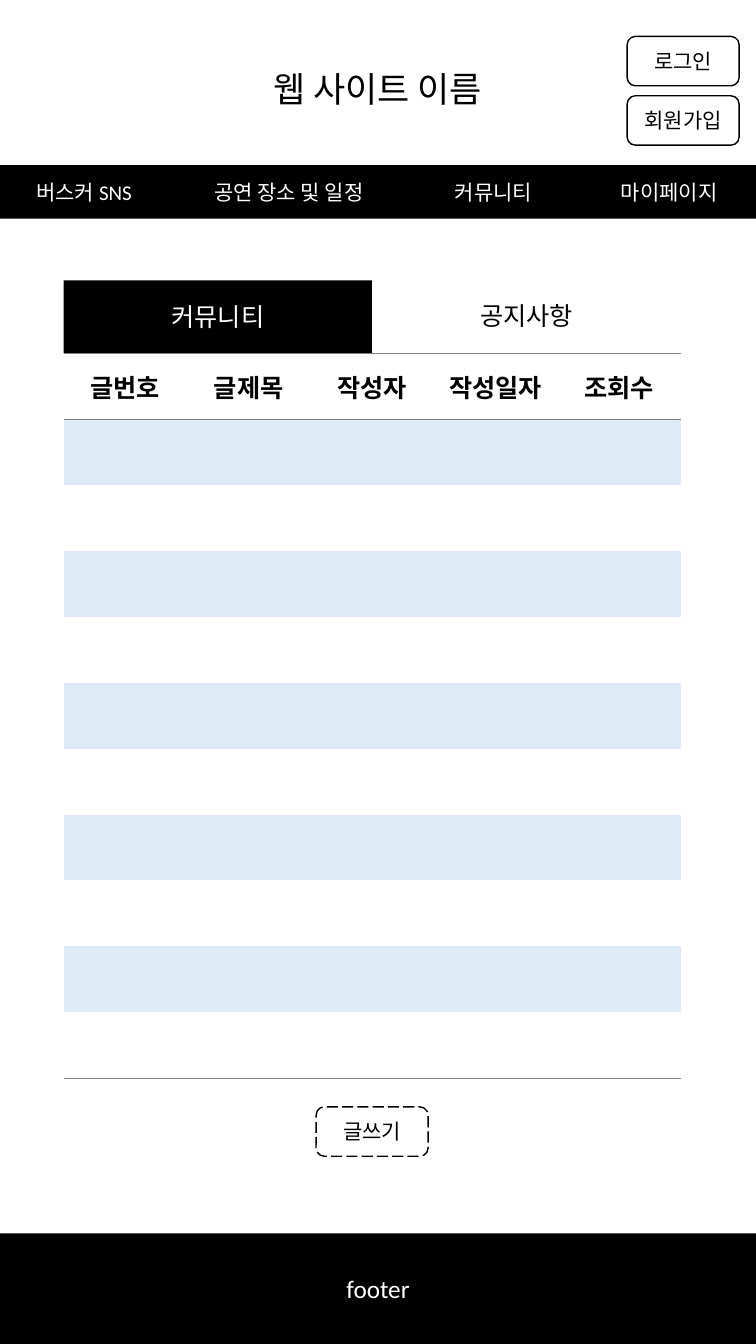
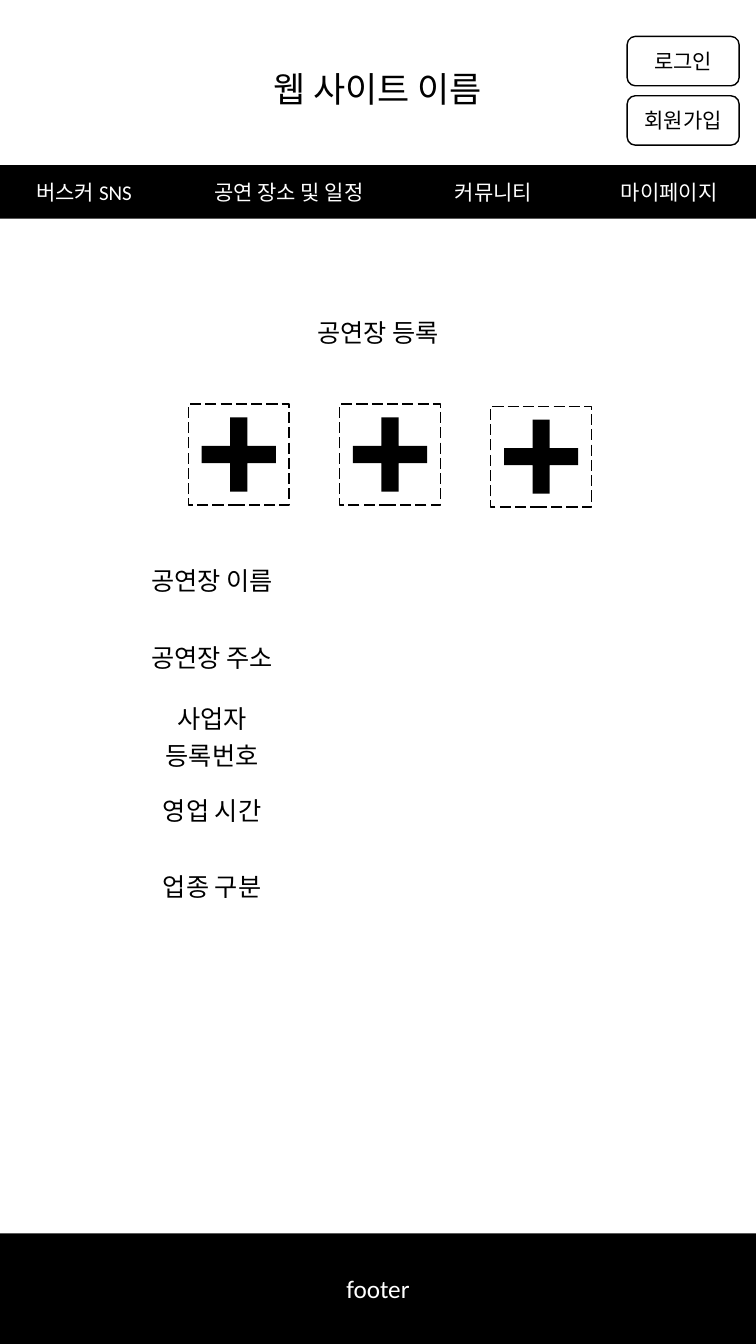
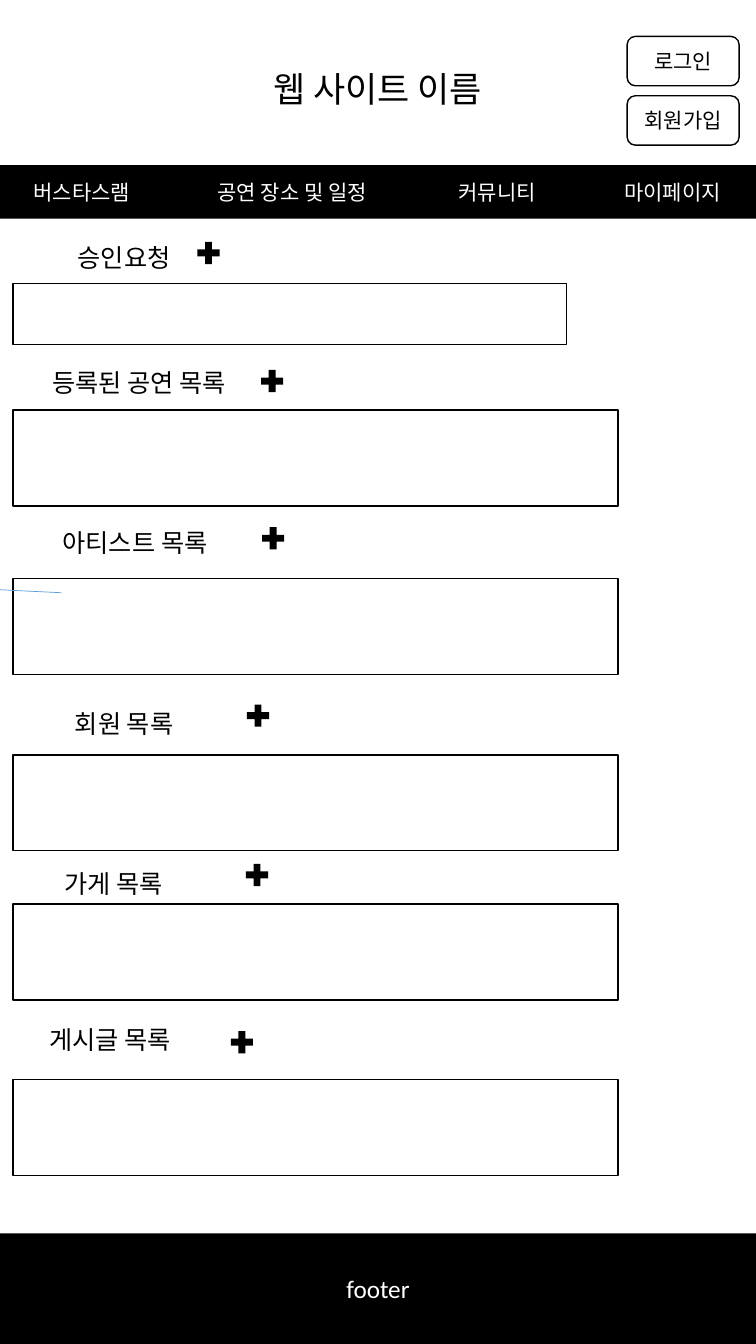
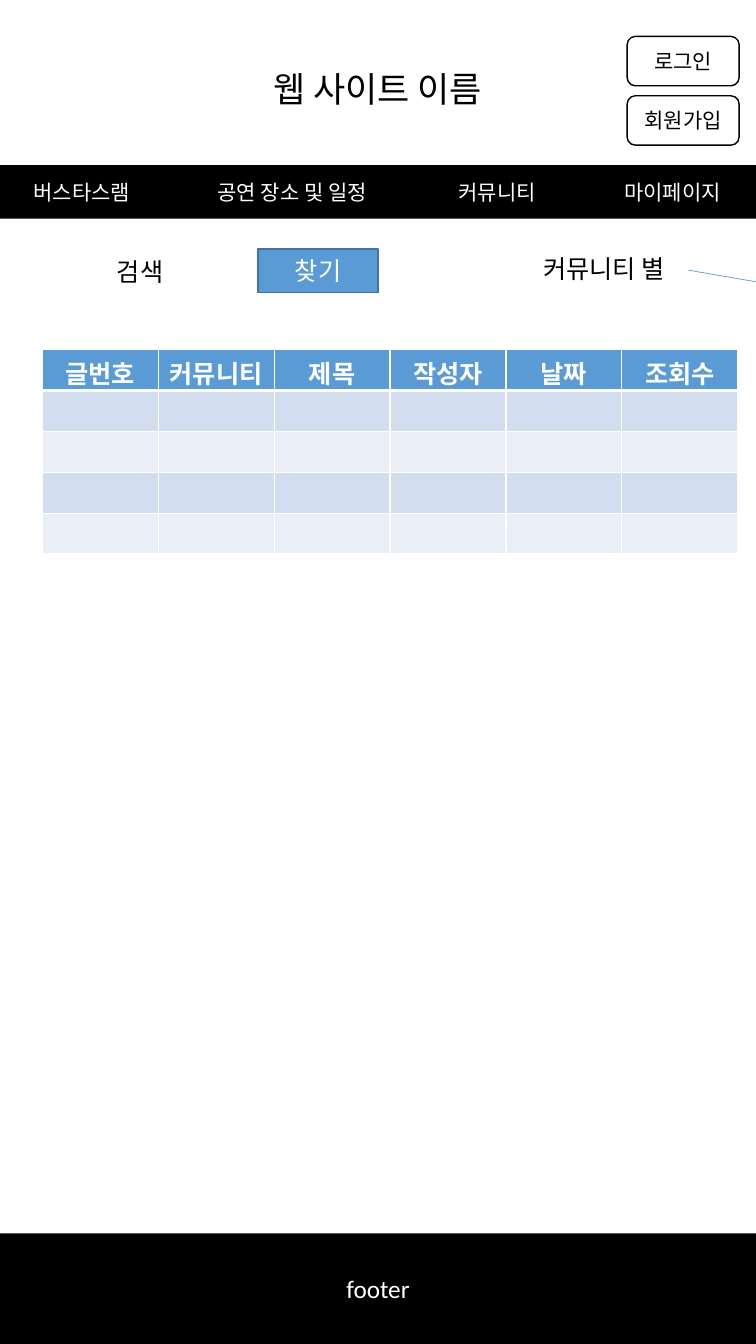
import pptx
import pptx.util
import pptx.dml.color
import pptx.enum.dml
import pptx.enum.shapes
import pptx.enum.text
import pptx.oxml
import pptx.oxml.ns
from lxml import etree

Pt = pptx.util.Pt
SHAPE = pptx.enum.shapes.MSO_SHAPE
ANCHOR = pptx.enum.text.MSO_ANCHOR
ALIGN = pptx.enum.text.PP_ALIGN
qn = pptx.oxml.ns.qn

WIDTH, HEIGHT = 540, 960
FONT = "Calibri"
NO_GRID_STYLE = "{2D5ABB26-0587-4C30-8999-92F81FD0307C}"
COLORS = {
    "black": "000000", "white": "FFFFFF", "rule": "808080",
    "blue": "5B9BD5", "blue edge": "43739E", "pale": "DEEBF7",
    "band dark": "D2DEEF", "band light": "EAEFF7",
}

# Content
SITE_TITLE = "웹 사이트 이름"
ACCOUNT_BUTTONS = ["로그인", "회원가입"]
MENU = ["공연 장소 및 일정", "커뮤니티", "마이페이지"]
# Each menu: the first item, then the left edge of every item
USER_MENU = ("버스커 SNS", [26, 153, 325, 443.5])
ADMIN_MENU = ("버스타스램", [24, 155.5, 327.5, 446])

BOARD_COLUMNS = ["글번호", "글제목", "작성자", "작성일자", "조회수"]
BOARD_ROWS = 10
VENUE_FIELDS = ["공연장 이름", "공연장 주소", "사업자 등록번호", "영업 시간", "업종 구분"]
PHOTO_TOPS = [288.7, 288.7, 290.2]
# label, label place (left, top, width), plus place, box top, box size
LIST_BOX = (432, 68.4)
ADMIN_SECTIONS = [
    ("승인요청", (20.2, 169.9, 136.8), (138.2, 169.9), 202.3, (395.3, 43.9)),
    ("등록된 공연 목록", (10.8, 259.2, 177.1), (183.6, 261.4), 293, LIST_BOX),
    ("아티스트 목록", (5, 373, 182.9), (184.3, 373.7), 413.3, LIST_BOX),
    ("회원 목록", (10.1, 502.6, 157), (173.5, 500.4), 539.3, LIST_BOX),
    ("가게 목록", (5, 617, 151.9), (172.8, 614.2), 645.8, LIST_BOX),
    ("게시글 목록", (20.2, 727.9, 116.6), (162, 733.7), 771.1, LIST_BOX),
]
POST_COLUMNS = ["글번호", "커뮤니티", "제목", "작성자", "날짜", "조회수"]
POST_ROWS = 4


def color(name):
    return pptx.dml.color.RGBColor.from_string(COLORS[name])


def write(frame, text, size, ink, align=ALIGN.CENTER, bold=False):
    paragraph = frame.paragraphs[0]
    paragraph.alignment = align
    run = paragraph.add_run()
    run.text = text
    for name, value in {"name": FONT, "size": Pt(size), "bold": bold}.items():
        setattr(run.font, name, value)
    run.font.color.rgb = color(ink)
    return paragraph


def add_box(shapes, place, fill="white", line=None, kind=SHAPE.RECTANGLE,
            dashed=False, text=None, size=18, ink="black"):
    shape = shapes.add_shape(kind, *map(Pt, place))
    shape.shadow.inherit = False
    shape.fill.solid()
    shape.fill.fore_color.rgb = color(fill)
    if line:
        shape.line.color.rgb = color(line)
        shape.line.width = Pt(1)
    else:
        shape.line.fill.background()
    if dashed:
        shape.line.dash_style = pptx.enum.dml.MSO_LINE.LONG_DASH
    if text:
        shape.text_frame.vertical_anchor = ANCHOR.MIDDLE
        write(shape.text_frame, text, size, ink)
    return shape


def add_button(slide, left, top, text, dashed=False):
    add_box(slide.shapes, (left, top, 80, 35.3), line="black", dashed=dashed,
            kind=SHAPE.ROUNDED_RECTANGLE, text=text, size=15)


def add_plus(shapes, left, top, side, thickness):
    plus = add_box(shapes, (left, top, side, side), "black", kind=SHAPE.MATH_PLUS)
    plus.adjustments[0] = thickness


def add_label(slide, text, left, top, width, size=18):
    height = size * 1.2 + 7.2
    box = slide.shapes.add_textbox(*map(Pt, (left, top, width, height)))
    box.text_frame.word_wrap = True
    box.text_frame.auto_size = pptx.enum.text.MSO_AUTO_SIZE.SHAPE_TO_FIT_TEXT
    write(box.text_frame, text, size, "black")


def add_arrow(slide, start, end):
    arrow = slide.shapes.add_connector(
        pptx.enum.shapes.MSO_CONNECTOR.STRAIGHT, *map(Pt, start + end))
    arrow.line.color.rgb = color("blue")
    arrow.line.width = Pt(0.5)
    etree.SubElement(arrow.line._get_or_add_ln(), qn("a:tailEnd"), type="triangle")
    etree.SubElement(arrow._element.spPr, qn("a:effectLst"))


def set_borders(cell, borders):
    """Draw borders given as {side: (colour, width)}; sides are L, R, T, B."""
    properties = cell._tc.get_or_add_tcPr()
    for side in "LRTB":
        if side in borders:
            name, width = borders[side]
            line = etree.SubElement(properties, qn("a:ln" + side), w=str(Pt(width)))
            fill = etree.SubElement(line, qn("a:solidFill"))
            etree.SubElement(fill, qn("a:srgbClr"), val=COLORS[name])


def add_table(slide, left, top, widths, row_height, rows, anchor=ANCHOR.MIDDLE):
    """Each row is a dict with any of texts, fill, borders, ink and bold."""
    frame = slide.shapes.add_table(
        len(rows), len(widths),
        *map(Pt, (left, top, sum(widths), row_height * len(rows))))
    table = frame.table
    table.first_row = table.horz_banding = False
    table._tbl.tblPr.find(qn("a:tableStyleId")).text = NO_GRID_STYLE
    for column, width in zip(table.columns, widths):
        column.width = Pt(width)
    for table_row, row in zip(table.rows, rows):
        table_row.height = Pt(row_height)
        for index, cell in enumerate(table_row.cells):
            cell.vertical_anchor = anchor
            set_borders(cell, row.get("borders", {}))
            if "fill" in row:
                cell.fill.solid()
                cell.fill.fore_color.rgb = color(row["fill"])
            if index < len(row.get("texts", [])):
                write(cell.text_frame, row["texts"][index], 18,
                      row.get("ink", "black"), bold=row.get("bold", False))


def add_menu(slide, first_item, starts):
    band = add_box(slide.shapes, (0, 118, WIDTH, 38.2), "black")
    frame = band.text_frame
    frame.vertical_anchor = ANCHOR.MIDDLE
    frame.margin_left, frame.margin_right = Pt(starts[0]), 0
    paragraph = write(frame, "\t".join([first_item] + MENU), 15, "white", ALIGN.LEFT)
    stops = etree.SubElement(paragraph._p.get_or_add_pPr(), qn("a:tabLst"))
    for start in starts[1:]:
        etree.SubElement(stops, qn("a:tab"), pos=str(Pt(start - starts[0])), algn="l")


def add_page(presentation, menu):
    """Add a slide with the shared header, menu and footer."""
    slide = presentation.slides.add_slide(presentation.slide_layouts[6])
    add_menu(slide, *menu)
    for index, text in enumerate(ACCOUNT_BUTTONS):
        add_button(slide, 448, 26 + 42.4 * index, text)
    add_box(slide.shapes, (0, 881, WIDTH, HEIGHT - 881), "black",
            text="footer", ink="white")
    add_label(slide, SITE_TITLE, 134.6, 44.6, 270.7, size=25)
    return slide


def build_board(presentation):
    slide = add_page(presentation, USER_MENU)
    left, tab_width = 45.4, 220.4
    rule = ("rule", 0.75)
    rows = [{"texts": BOARD_COLUMNS, "bold": True, "borders": {"T": rule, "B": rule}}]
    rows += [{"fill": "pale"} if index % 2 == 0 else {} for index in range(BOARD_ROWS)]
    rows[-1]["borders"] = {"B": rule}
    column_width = 2 * tab_width / len(BOARD_COLUMNS)
    add_table(slide, left, 252.7, [column_width] * len(BOARD_COLUMNS), 47.05, rows)
    add_box(slide.shapes, (left, 200.2, tab_width, 51.8), "black",
            text="커뮤니티", ink="white")
    add_box(slide.shapes, (left + tab_width, 199.4, tab_width, 51.8), text="공지사항")
    add_button(slide, left + tab_width - 40, 790.6, "글쓰기", dashed=True)


def build_venue_form(presentation):
    slide = add_page(presentation, USER_MENU)
    add_label(slide, "공연장 등록", 162.7, 223.2, 214.6)
    rows = [{"texts": [field], "fill": "white"} for field in VENUE_FIELDS]
    add_table(slide, 87.8, 386.6, [127.4, 232.6], 54.7, rows)
    for index, top in enumerate(PHOTO_TOPS):
        left, side = 134.6 + 108 * index, 72
        group = slide.shapes.add_group_shape()
        add_box(group.shapes, (left, top, side, side), line="black", dashed=True)
        add_plus(group.shapes, left, top, side, 0.17)


def build_admin_lists(presentation):
    slide = add_page(presentation, ADMIN_MENU)
    for text, label_place, plus_place, box_top, box_size in ADMIN_SECTIONS:
        add_box(slide.shapes, (9.4, box_top, *box_size), line="black")
        add_label(slide, text, *label_place)
        add_plus(slide.shapes, *plus_place, 21.6, 0.23)
    add_arrow(slide, (43.9, 423.4), (-76.3, 417.6))


def build_post_search(presentation):
    slide = add_page(presentation, ADMIN_MENU)
    add_arrow(slide, (491.8, 193), (600.5, 211.7))
    add_label(slide, "커뮤니티 별", 362.9, 177.1, 136.8)
    add_label(slide, "검색", 31.7, 179.3, 136.8)
    add_box(slide.shapes, (184.3, 177.8, 85.7, 31), "blue", "blue edge",
            text="찾기", ink="white")
    grid = dict.fromkeys("LRTB", ("white", 1))
    rows = [{"texts": POST_COLUMNS, "fill": "blue", "ink": "white", "bold": True,
             "borders": {**grid, "B": ("white", 3)}}]
    for index in range(POST_ROWS):
        top = ("white", 3 if index == 0 else 1)
        rows.append({"fill": ("band dark", "band light")[index % 2],
                     "borders": {**grid, "T": top}})
    add_table(slide, 30.2, 249.8, [82.8] * len(POST_COLUMNS), 29.2, rows, ANCHOR.TOP)


def main():
    presentation = pptx.Presentation()
    presentation.slide_width, presentation.slide_height = Pt(WIDTH), Pt(HEIGHT)
    for build in (build_board, build_venue_form, build_admin_lists, build_post_search):
        build(presentation)
    presentation.save("out.pptx")


if __name__ == "__main__":
    main()
